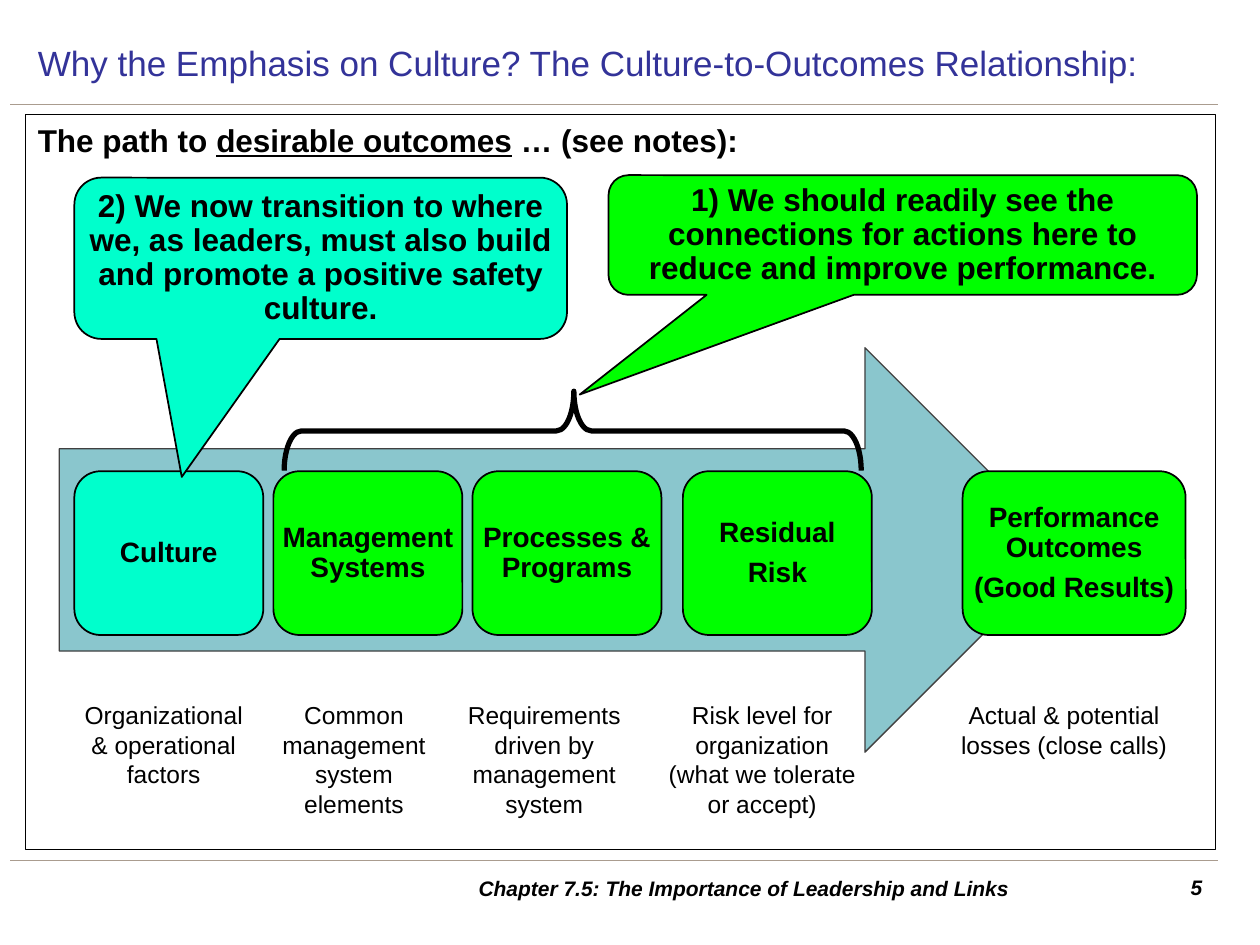
from typing import NamedTuple

from lxml import etree
from pptx import Presentation
from pptx import util as u
from pptx.dml.color import RGBColor
from pptx.enum import shapes, text
from pptx.oxml import ns

PX = 9144  # EMU per px, at 100 px to the inch
FONT = "Arial"
COLORS = {
    "ink": "000000", "title": "333399", "rule": "AA9C8F", "arrow": "8AC6CD",
    "arrow_line": "404040", "culture": "00FFCC", "result": "00FF00",
}
SHAPE = shapes.MSO_SHAPE
ALIGN = text.PP_ALIGN
ANCHOR = text.MSO_ANCHOR


class Box(NamedTuple):
    x: int
    y: int
    w: int
    h: int

    def emu(self) -> list[int]:
        return [v * PX for v in self]


class Stage(NamedTuple):
    x: int
    w: int
    name: str
    color: str
    label_x: int
    label_w: int
    label: str


class Callout(NamedTuple):
    box: Box
    tip: tuple[float, float]
    color: str
    message: str


STAGE_Y, STAGE_H = 374, 130
LABEL_Y, LABEL_H = 551, 104
STAGES = [
    Stage(59, 150, "Culture", "culture", 50, 160, "Organizational & operational factors"),
    Stage(217, 150, "Management Systems", "result", 201, 160,
          "Common management system elements"),
    Stage(375, 150, "Processes & Programs", "result", 352, 160,
          "Requirements driven by management system"),
    Stage(542, 150, "Residual\nRisk", "result", 512, 186,
          "Risk level for organization\n(what we tolerate or accept)"),
    Stage(764, 177, "Performance Outcomes\n(Good Results)", "result", 747, 195,
          "Actual & potential losses (close calls)"),
]
RESULT_CALLOUT = Callout(
    Box(483, 139, 467, 95), (-0.549, 1.333), "result",
    "1) We should readily see the connections for actions here to reduce and "
    "improve performance.")
CULTURE_CALLOUT = Callout(
    Box(59, 141, 391, 128), (-0.282, 1.356), "culture",
    "2) We now transition to where we, as leaders, must also build and promote "
    "a positive safety culture.")


def rgb(name: str) -> RGBColor:
    return RGBColor.from_string(COLORS[name])


def place(s, box: Box) -> None:
    s.left, s.top, s.width, s.height = box.emu()


def format_text(tf, size: int, color: str = "ink", bold: bool = False,
                italic: bool = False, align=ALIGN.LEFT, spacing: float = 1.0,
                after: float = 0) -> None:
    """Format every paragraph and run already present in the frame."""
    for p in tf.paragraphs:
        p.alignment, p.line_spacing = align, spacing
        p.space_before, p.space_after = u.Pt(0), u.Pt(after)
        for r in p.runs:
            f = r.font
            f.name, f.size, f.bold, f.italic = FONT, u.Pt(size), bold, italic
            f.color.rgb = rgb(color)


def add_shape(slide, kind, box: Box, fill: str | None, line: str = "ink",
              width: float = 1, adj: tuple[float, ...] = ()):
    s = slide.shapes.add_shape(kind, *box.emu())
    s.shadow.inherit = False
    if fill:
        s.fill.solid()
        s.fill.fore_color.rgb = rgb(fill)
    else:
        s.fill.background()
    s.line.color.rgb, s.line.width = rgb(line), u.Pt(width)
    for i, value in enumerate(adj):
        s.adjustments[i] = value
    return s


def fill_panel(s, content: str, size: int, side: int) -> None:
    """Put bold centred text into a coloured shape, with side margins in px."""
    tf = s.text_frame
    tf.word_wrap, tf.vertical_anchor = True, ANCHOR.MIDDLE
    tf.margin_left = tf.margin_right = side * PX
    tf.margin_top = tf.margin_bottom = 4 * PX
    tf.text = content
    format_text(tf, size, bold=True, align=ALIGN.CENTER, spacing=0.9, after=0.35 * size)


def add_text(slide, box: Box, content: str, size: int, anchor=ANCHOR.TOP, **style) -> None:
    tf = slide.shapes.add_textbox(*box.emu()).text_frame
    tf.word_wrap, tf.vertical_anchor = True, anchor
    tf.text = content
    format_text(tf, size, **style)


def add_rule(slide, y: int) -> None:
    c = slide.shapes.add_connector(
        shapes.MSO_CONNECTOR.STRAIGHT, 8 * PX, y * PX, 967 * PX, y * PX)
    c.line.color.rgb, c.line.width = rgb("rule"), u.Pt(0.75)
    etree.SubElement(c._element.spPr, ns.qn("a:effectLst"))


def set_title(slide) -> None:
    title = slide.shapes.title
    place(title, Box(20, 20, 945, 59))
    tf = title.text_frame
    tf.text = "Why the Emphasis on Culture? The Culture-to-Outcomes Relationship:"
    tf.auto_size, tf.vertical_anchor = text.MSO_AUTO_SIZE.NONE, ANCHOR.MIDDLE
    format_text(tf, 20, "title")


def set_body(slide) -> None:
    body = slide.placeholders[1]
    place(body, Box(20, 91, 945, 583))
    body.line.color.rgb, body.line.width = rgb("ink"), u.Pt(0.75)
    tf = body.text_frame
    tf.auto_size = text.MSO_AUTO_SIZE.NONE
    p = tf.paragraphs[0]
    pPr = p._p.get_or_add_pPr()
    pPr.set("marL", "0")
    pPr.set("indent", "0")
    etree.SubElement(pPr, ns.qn("a:buNone"))
    for part in ("The path to ", "desirable outcomes", " … (see notes):"):
        p.add_run().text = part
    format_text(tf, 18, bold=True)
    p.runs[1].font.underline = True


def add_stage(slide, stage: Stage) -> None:
    box = Box(stage.x, STAGE_Y, stage.w, STAGE_H)
    s = add_shape(slide, SHAPE.ROUNDED_RECTANGLE, box, stage.color, adj=(0.16,))
    fill_panel(s, stage.name, 16, side=0)
    add_text(slide, Box(stage.label_x, LABEL_Y, stage.label_w, LABEL_H), stage.label, 14,
             align=ALIGN.CENTER)


def add_callout(slide, callout: Callout) -> None:
    s = add_shape(slide, SHAPE.ROUNDED_RECTANGULAR_CALLOUT, callout.box, callout.color,
                  adj=(*callout.tip, 0.167))
    fill_panel(s, callout.message, 18, side=4)


def main() -> None:
    prs = Presentation()
    prs.slide_width, prs.slide_height = 1000 * PX, 750 * PX
    slide = prs.slides.add_slide(prs.slide_layouts[1])

    for y in (83, 683):
        add_rule(slide, y)
    set_title(slide)
    set_body(slide)
    add_shape(slide, SHAPE.RIGHT_ARROW, Box(47, 276, 800, 321), "arrow", "arrow_line", 0.75)
    for stage in STAGES:
        add_stage(slide, stage)
    add_text(slide, Box(906, 689, 58, 31), "5", 12, bold=True, italic=True, align=ALIGN.RIGHT)
    add_text(slide, Box(295, 689, 591, 31),
             "Chapter 7.5: The Importance of Leadership and Links", 12,
             anchor=ANCHOR.MIDDLE, bold=True, italic=True, align=ALIGN.CENTER)
    add_callout(slide, RESULT_CALLOUT)
    brace = add_shape(slide, SHAPE.LEFT_BRACE, Box(423, 113, 63, 458), None, width=3,
                      adj=(0.219, 0.498))
    brace.rotation = 90
    add_callout(slide, CULTURE_CALLOUT)

    prs.save("out.pptx")


if __name__ == "__main__":
    main()
